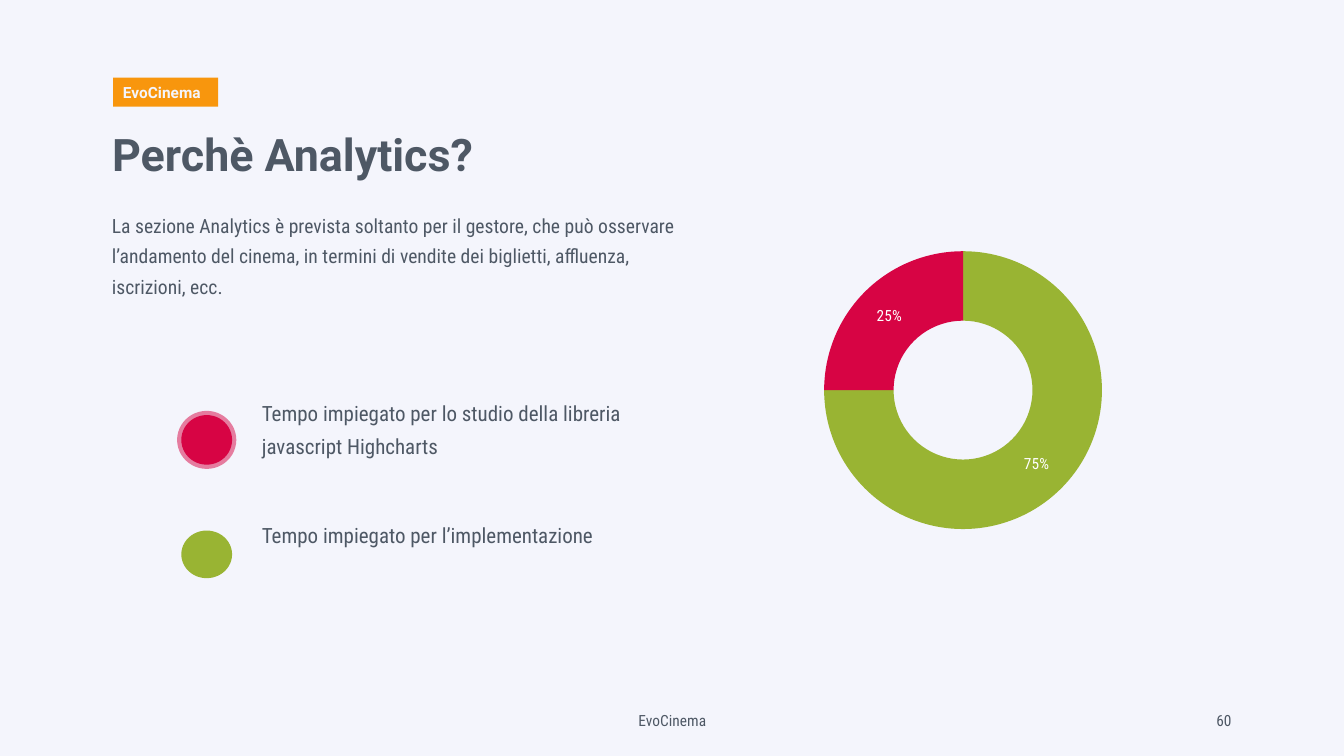
from lxml import etree
from pptx import Presentation
from pptx.chart.data import CategoryChartData
from pptx.dml.color import RGBColor
from pptx.enum import chart as charts, shapes, text
from pptx.oxml import parse_xml
from pptx.oxml.ns import nsdecls, qn
from pptx.util import Cm, Pt

BACKGROUND = RGBColor(0xF4, 0xF5, 0xFC)
SLATE = RGBColor(0x4E, 0x58, 0x65)
GREEN = RGBColor(0x99, 0xB4, 0x33)
RED = RGBColor(0xD7, 0x04, 0x44)
ORANGE = RGBColor(0xF8, 0x96, 0x0D)
WHITE = RGBColor(0xFF, 0xFF, 0xFF)
CHARCOAL = RGBColor(0x33, 0x36, 0x39)
CONDENSED = "Roboto Condensed"


def write(shape, words, size, font=CONDENSED, color=SLATE, bold=False,
          align=text.PP_ALIGN.LEFT, anchor=text.MSO_ANCHOR.TOP, spacing=1.0):
    frame = shape.text_frame
    frame.text = words
    frame.word_wrap = True
    frame.auto_size = text.MSO_AUTO_SIZE.NONE
    frame.vertical_anchor = anchor
    paragraph = frame.paragraphs[0]
    paragraph.alignment = align
    paragraph.line_spacing = spacing
    run_font = paragraph.runs[0].font
    run_font.name = font
    run_font.size = Pt(size)
    run_font.bold = bold
    run_font.color.rgb = color


def add_filled(kind, left, top, width, height, color):
    shape = slide.shapes.add_shape(kind, Cm(left), Cm(top), Cm(width), Cm(height))
    shape.shadow.inherit = False
    shape.fill.solid()
    shape.fill.fore_color.rgb = color
    shape.line.fill.background()
    return shape


presentation = Presentation()
presentation.slide_width = Cm(33.87)
presentation.slide_height = Cm(19.05)
slide = presentation.slides.add_slide(presentation.slide_layouts[5])
slide.background.fill.solid()
slide.background.fill.fore_color.rgb = BACKGROUND

# Title and tag
title = slide.shapes.title
title.left, title.top, title.width, title.height = Cm(2.57), Cm(3.07), Cm(11), Cm(1.63)
write(title, "Perchè Analytics?", 32, font="Roboto", bold=True)
tag = add_filled(shapes.MSO_SHAPE.RECTANGLE, 2.85, 1.96, 2.65, 0.73, ORANGE)
write(tag, "EvoCinema", 11, font="Roboto", color=BACKGROUND, bold=True)

# Introduction
introduction = slide.shapes.add_textbox(Cm(2.57), Cm(5.08), Cm(15.11), Cm(2.59))
write(introduction, "La sezione Analytics è prevista soltanto per il gestore, che può osservare "
      "l’andamento del cinema, in termini di vendite dei biglietti, affluenza, iscrizioni, ecc.",
      14, spacing=1.3)

# Legend: dot top and height, text top and height
legend = [
    ("Tempo impiegato per lo studio della libreria javascript Highcharts",
     RED, 10.46, 1.25, 9.78, 2.54),
    ("Tempo impiegato per l’implementazione", GREEN, 13.37, 1.2, 12.85, 1.83),
]
for words, color, dot_top, dot_height, top, height in legend:
    dot = add_filled(shapes.MSO_SHAPE.OVAL, 4.57, dot_top, 1.28, dot_height, color)
    if color == RED:
        dot.line.color.rgb = RED
        dot.line.width = Pt(6)
        line_color = dot.line._ln.find(".//" + qn("a:srgbClr"))
        etree.SubElement(line_color, qn("a:alpha"), val="50000")
    label = slide.shapes.add_textbox(Cm(6.35), Cm(top), Cm(9.73), Cm(height))
    write(label, words, 15, spacing=1.3)

# Doughnut chart
data = CategoryChartData()
data.categories = ["1", "2", "3"]
data.add_series("Series 1", (None, 75, 25))
chart = slide.shapes.add_chart(charts.XL_CHART_TYPE.DOUGHNUT, Cm(18.52), Cm(3.07),
                               Cm(12.78), Cm(13.69), data).chart
chart.has_legend = False
chart.has_title = False
chart.font.name = "Calibri"
chart.font.size = Pt(10)
chart.font.color.rgb = CHARCOAL
plot = chart.plots[0]
plot.vary_by_categories = True
for index, color in enumerate([SLATE, GREEN, RED]):
    point = plot.series[0].points[index]
    point.format.fill.solid()
    point.format.fill.fore_color.rgb = color
    point.format.line.fill.background()
labels = plot.series[0].data_labels
labels.show_percentage = True
labels.show_value = False
labels.font.name = CONDENSED
labels.font.size = Pt(11)
labels.font.color.rgb = WHITE

# Plot position and hole size
plot_area = chart._chartSpace.find(".//" + qn("c:plotArea"))
for old_layout in plot_area.findall(qn("c:layout")):
    plot_area.remove(old_layout)
plot_area.insert(0, parse_xml(
    f'<c:layout {nsdecls("c")}><c:manualLayout><c:layoutTarget val="inner"/>'
    '<c:xMode val="edge"/><c:yMode val="edge"/><c:x val="0.176"/><c:y val="0.059"/>'
    '<c:w val="0.548"/><c:h val="0.87"/></c:manualLayout></c:layout>'))
plot_area.find(".//" + qn("c:holeSize")).set("val", "30")

# Footer and page number
footers = [("EvoCinema", 11.23, 11.43, text.PP_ALIGN.CENTER),
           ("60", 23.67, 7.62, text.PP_ALIGN.RIGHT)]
for words, left, width, align in footers:
    footer = slide.shapes.add_textbox(Cm(left), Cm(17.65), Cm(width), Cm(1.02))
    write(footer, words, 11, align=align, anchor=text.MSO_ANCHOR.MIDDLE)

presentation.save("out.pptx")
